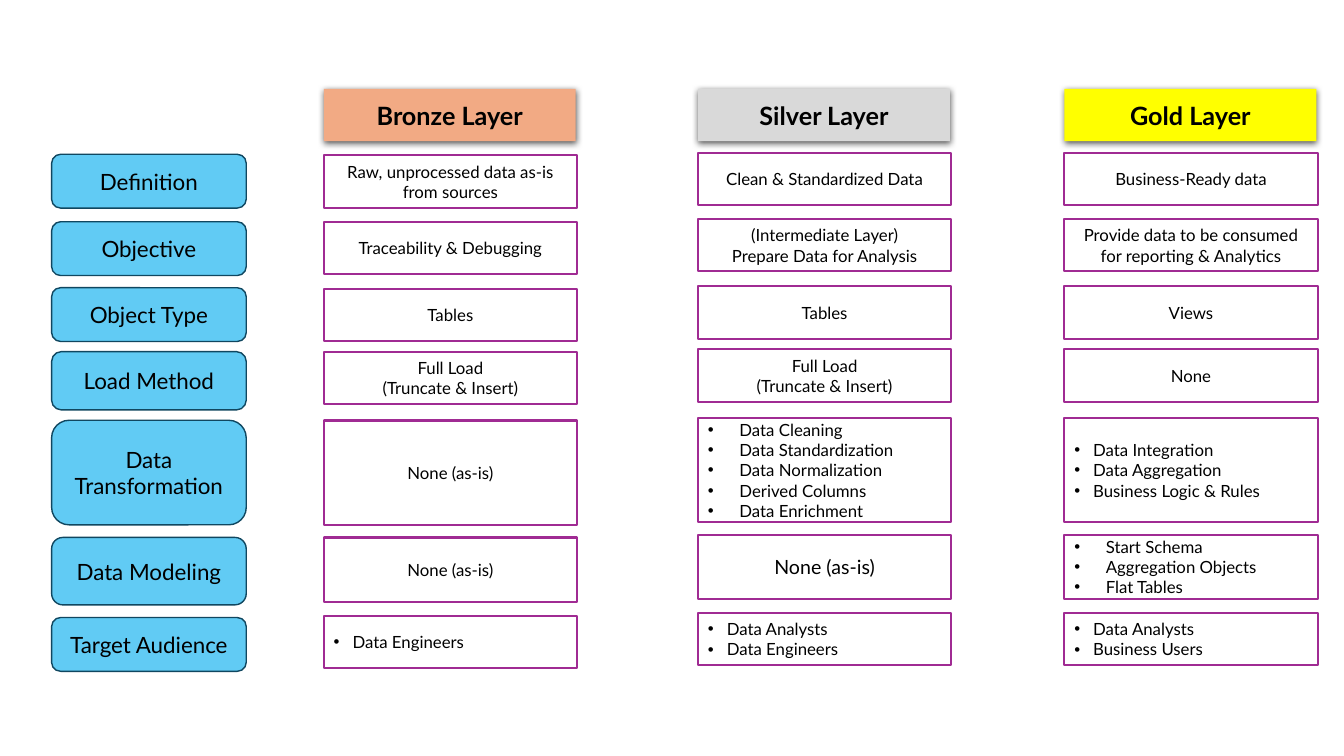
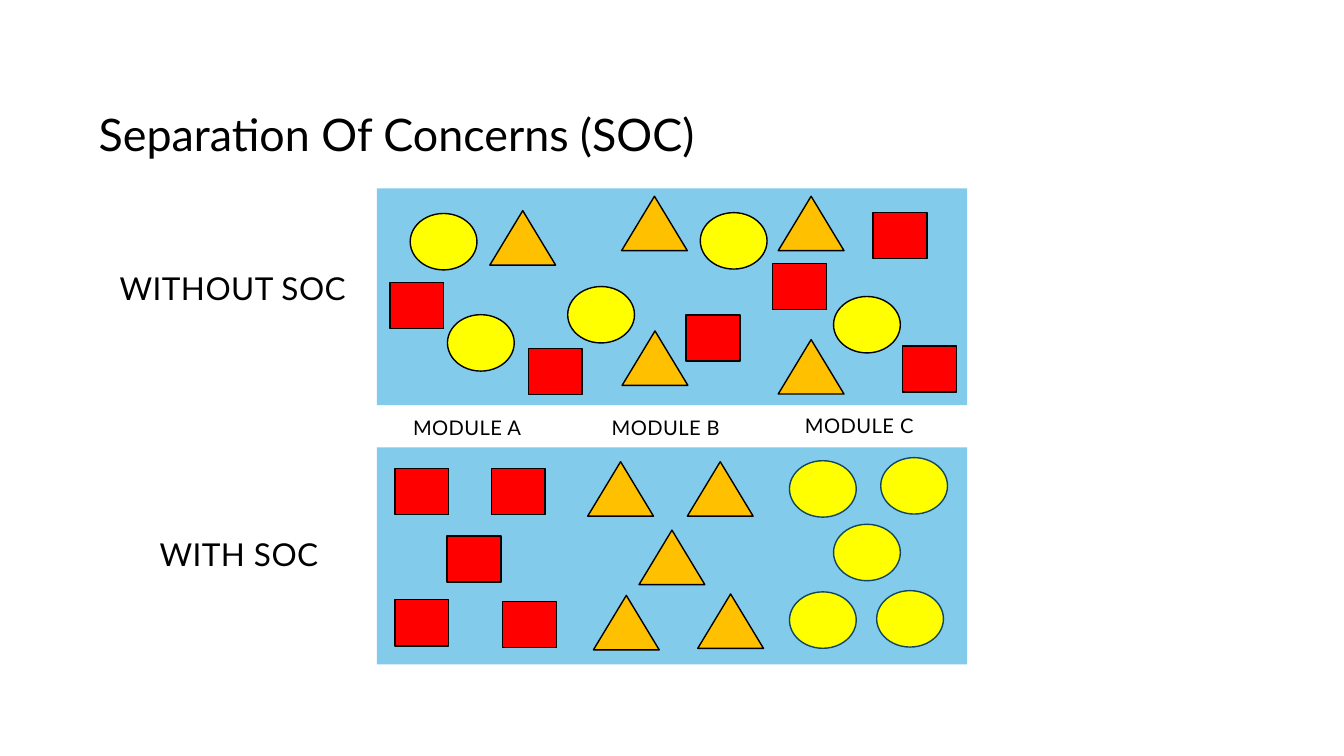
from dataclasses import dataclass

from lxml import etree
from pptx import Presentation
from pptx.dml.color import RGBColor
from pptx.enum.shapes import MSO_SHAPE
from pptx.enum.text import MSO_ANCHOR, PP_ALIGN
from pptx.oxml.ns import qn
from pptx.util import Pt

RECT, ROUND = MSO_SHAPE.RECTANGLE, MSO_SHAPE.ROUNDED_RECTANGLE
OVAL, TRIANGLE = MSO_SHAPE.OVAL, MSO_SHAPE.ISOSCELES_TRIANGLE
LEFT, CENTER = PP_ALIGN.LEFT, PP_ALIGN.CENTER
TOP, MIDDLE = MSO_ANCHOR.TOP, MSO_ANCHOR.MIDDLE


@dataclass(frozen=True)
class Theme:
    font: str = "Lato"
    black: str = "000000"
    white: str = "FFFFFF"
    bronze: str = "F2AA84"
    silver: str = "D9D9D9"
    yellow: str = "FFFF00"
    label: str = "61CBF4"
    label_line: str = "104760"
    cell_line: str = "A02B93"
    panel: str = "83CBEB"
    orange: str = "FFC000"
    red: str = "FF0000"
    title_size: float = 32
    caption_size: float = 22.5
    header_size: float = 18
    label_size: float = 16
    module_size: float = 14.4
    large_cell_size: float = 14
    cell_size: float = 12


T = Theme()


class Deck:
    """Holds the presentation, the style and the current slide."""

    def __init__(self):
        self.prs = Presentation()
        self.prs.slide_width, self.prs.slide_height = Pt(960), Pt(540)

    def new_slide(self):
        self.s = self.prs.slides.add_slide(self.prs.slide_layouts[6])

    def fill_text(self, sp, text, size, bold=False, align=CENTER,
                  anchor=MIDDLE, bullet=None, line_spacing=None,
                  tracking=None):
        """Set one paragraph per line; bullet is the hanging indent."""
        tf = sp.text_frame
        tf.word_wrap, tf.vertical_anchor = True, anchor
        para_format = {"alignment": LEFT if bullet else align,
                       "line_spacing": line_spacing}
        font_format = {"name": T.font, "size": Pt(size), "bold": bold}
        for i, line in enumerate(text.split("\n")):
            p = tf.add_paragraph() if i else tf.paragraphs[0]
            for name, value in para_format.items():
                setattr(p, name, value)
            if bullet:
                pPr = p._p.get_or_add_pPr()
                pPr.set("marL", str(Pt(bullet)))
                pPr.set("indent", str(-Pt(bullet)))
                etree.SubElement(pPr, qn("a:buFont"), typeface="Arial")
                etree.SubElement(pPr, qn("a:buChar"), char="•")
            r = p.add_run()
            r.text = line
            for name, value in font_format.items():
                setattr(r.font, name, value)
            r.font.color.rgb = RGBColor.from_string(T.black)
            if tracking:
                r._r.get_or_add_rPr().set("spc", str(round(tracking * 100)))

    def shape(self, kind, x, y, w, h, fill, line=None, width=1):
        sp = self.s.shapes.add_shape(kind, Pt(x), Pt(y), Pt(w), Pt(h))
        sp.shadow.inherit = False
        sp.fill.solid()
        sp.fill.fore_color.rgb = RGBColor.from_string(fill)
        if line:
            sp.line.color.rgb = RGBColor.from_string(line)
            sp.line.width = Pt(width)
        else:
            sp.line.fill.background()
        return sp

    def text(self, x, y, w, h, text, size, **fmt):
        sp = self.s.shapes.add_textbox(Pt(x), Pt(y), Pt(w), Pt(h))
        self.fill_text(sp, text, size, **fmt)

    def title(self, text):
        self.text(63.4, 72, 833.8, 51.8, text, T.title_size,
                  align=LEFT, line_spacing=0.9)

    def caption(self, x, y, w, h, text, size):
        self.text(x, y, w, h, text, size, anchor=TOP,
                  line_spacing=0.8, tracking=0.3)

    def header(self, x, text, fill):
        sp = self.shape(RECT, x, 63.4, 180, 37.4, fill)
        self.fill_text(sp, text, T.header_size, bold=True)
        effects = sp._element.spPr.find(qn("a:effectLst"))
        shadow = etree.SubElement(
            effects, qn("a:outerShdw"), blurRad=str(Pt(4.5)),
            dist=str(Pt(1.5)), dir="5400000", algn="t", rotWithShape="0")
        color = etree.SubElement(shadow, qn("a:srgbClr"), val=T.black)
        etree.SubElement(color, qn("a:alpha"), val="63000")

    def label(self, y, h, text):
        sp = self.shape(ROUND, 36.9, y, 139, h, T.label, T.label_line)
        self.fill_text(sp, text, T.label_size)

    def cell(self, x, y, h, text, size=T.cell_size, bullet=None):
        sp = self.shape(RECT, x, y, 180.9, h, T.white, T.cell_line, 1.5)
        self.fill_text(sp, text, size, bullet=bullet)


# Layer table: header name, fill, left edge, vertical shift of the cells
LAYERS = [
    ("Bronze Layer", T.bronze, 231.3, 0),
    ("Silver Layer", T.silver, 498.6, -1.9),
    ("Gold Layer", T.yellow, 760.3, -1.9),
]
NARROW, WIDE = {"bullet": 13.5}, {"bullet": 22.5}
FULL_LOAD = ("Full Load\n(Truncate & Insert)", {})
AS_IS = "None (as-is)"

# Label, its top and height, cell top and height, one (text, format) per layer
ROWS = [
    ("Definition", 110.2, 38.4, 111, 37.5, [
        ("Raw, unprocessed data as-is from sources", {}),
        ("Clean & Standardized Data", {}),
        ("Business-Ready data", {})]),
    ("Objective", 158.4, 38.4, 158.3, 37.5, [
        ("Traceability & Debugging", {}),
        ("(Intermediate Layer)\nPrepare Data for Analysis", {}),
        ("Provide data to be consumed for reporting & Analytics", {})]),
    ("Object Type", 205.5, 38.4, 206.4, 37.5, [
        ("Tables", {}), ("Tables", {}), ("Views", {})]),
    ("Load Method", 251.2, 41.6, 251.3, 37.5, [
        FULL_LOAD, FULL_LOAD, ("None", {})]),
    ("Data Transformation", 300.2, 74.7, 300.4, 74.7, [
        (AS_IS, {}),
        ("Data Cleaning\nData Standardization\nData Normalization\n"
         "Derived Columns\nData Enrichment", WIDE),
        ("Data Integration\nData Aggregation\nBusiness Logic & Rules",
         NARROW)]),
    ("Data Modeling", 383.9, 48.2, 383.9, 46, [
        (AS_IS, {}),
        (AS_IS, {"size": T.large_cell_size}),
        ("Start Schema\nAggregation Objects\nFlat Tables", WIDE)]),
    ("Target Audience", 441.1, 38.4, 439.7, 37.5, [
        ("Data Engineers", NARROW),
        ("Data Analysts\nData Engineers", NARROW),
        ("Data Analysts\nBusiness Users", NARROW)]),
]

# Scattered and sorted shapes: kind, width, height, fill, line, positions
CIRCLE = (OVAL, 47.7, 40.3, T.yellow)
WEDGE = (TRIANGLE, 47, 38.9, T.orange, T.black)
SQUARE = (RECT, 38.4, 33, T.red, T.black)
GROUPS = [
    # Without separation
    (*CIRCLE, T.black, [(319.6, 224.8), (595.4, 211.8), (500.2, 151.9),
                        (405.5, 204.7), (293, 152.5)]),
    (*WEDGE, [(349.9, 150.5), (444.4, 236.4), (555.9, 140.2),
              (444, 140.2), (555.9, 242.6)]),
    (*SQUARE, [(278.6, 201.7), (377.4, 248.9), (490.1, 224.9),
               (623.7, 151.7), (644.8, 247.1), (552, 188.2)]),
    # With separation
    (*CIRCLE, T.label_line, [(563.9, 329.1), (629.1, 326.9), (595.4, 374.5),
                             (563.9, 422.8), (626.2, 421.9)]),
    (*WEDGE, [(491, 329.8), (419.8, 329.8), (423.9, 425.3),
              (498.4, 424.3), (456.5, 378.7)]),
    (*SQUARE, [(351, 334.7), (282.2, 334.7), (282.2, 428.4),
               (359.1, 429.7), (319.4, 382.9)]),
]


def layers_slide(deck):
    deck.new_slide()
    for name, fill, x, _ in LAYERS:
        deck.header(x, name, fill)
    for name, y, h, cell_y, cell_h, cells in ROWS:
        deck.label(y, h, name)
        for (_, _, x, shift), (text, fmt) in zip(LAYERS, cells):
            deck.cell(x, cell_y + shift, cell_h, text, **fmt)


def concerns_slide(deck):
    deck.new_slide()
    deck.title("Separation Of Concerns (SOC)")
    # Panels and their shapes
    for y in (134.5, 319.6):
        deck.shape(RECT, 269.2, y, 421.7, 154.9, T.panel)
    for kind, w, h, fill, line, places in GROUPS:
        for x, y in places:
            deck.shape(kind, x, y, w, h, fill, line)
    # Captions
    for x, y, text in [(73.4, 193.7, "WITHOUT SOC"), (77.8, 383.8, "WITH SOC")]:
        deck.caption(x, y, 185.8, 31.7, text, T.caption_size)
    for x, y, text in [(282.2, 296.6, "MODULE A"), (424.1, 296.6, "MODULE B"),
                       (562.3, 295.2, "MODULE C")]:
        deck.caption(x, y, 103, 22.3, text, T.module_size)


def main():
    deck = Deck()
    layers_slide(deck)
    concerns_slide(deck)
    deck.prs.save("out.pptx")


if __name__ == "__main__":
    main()
